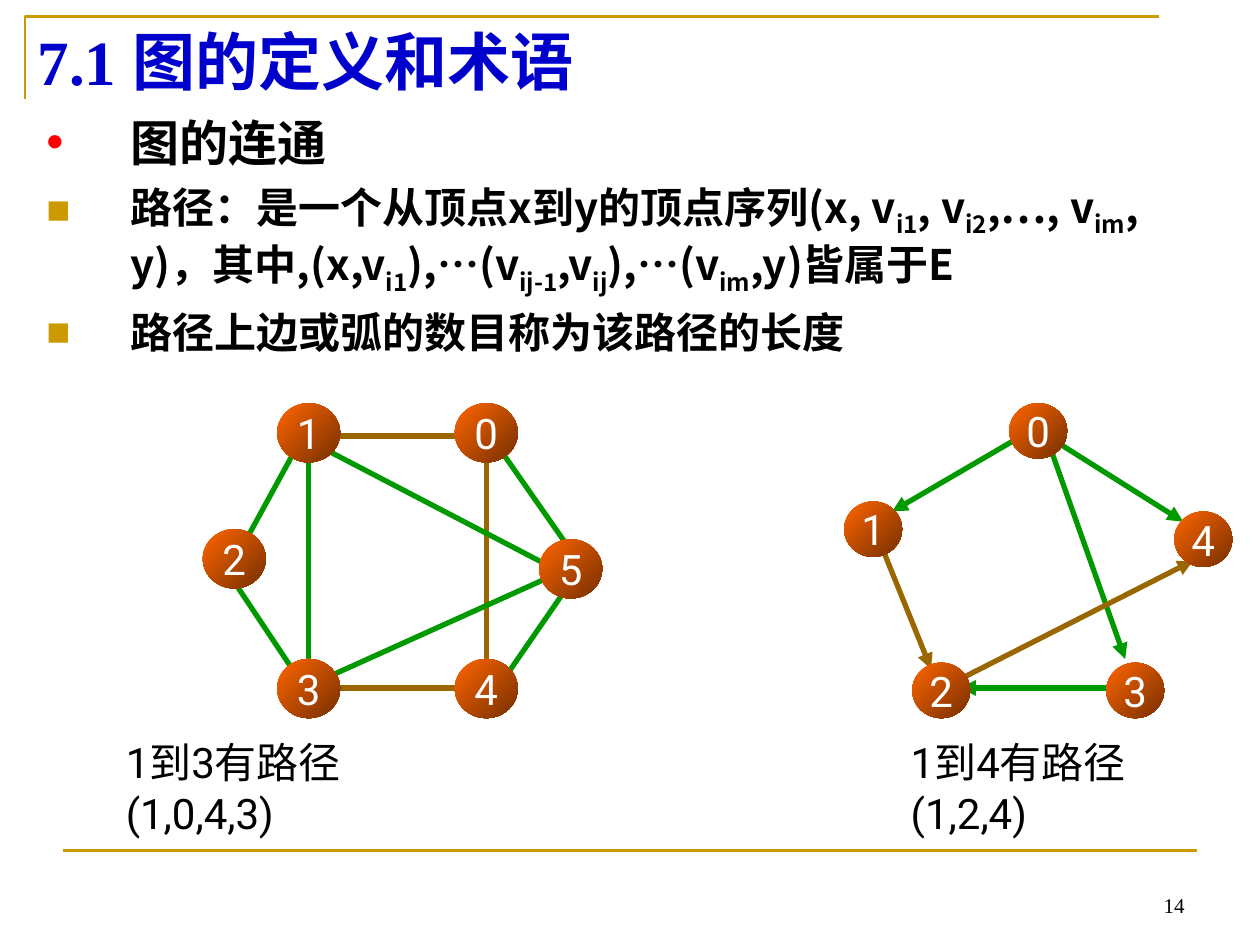
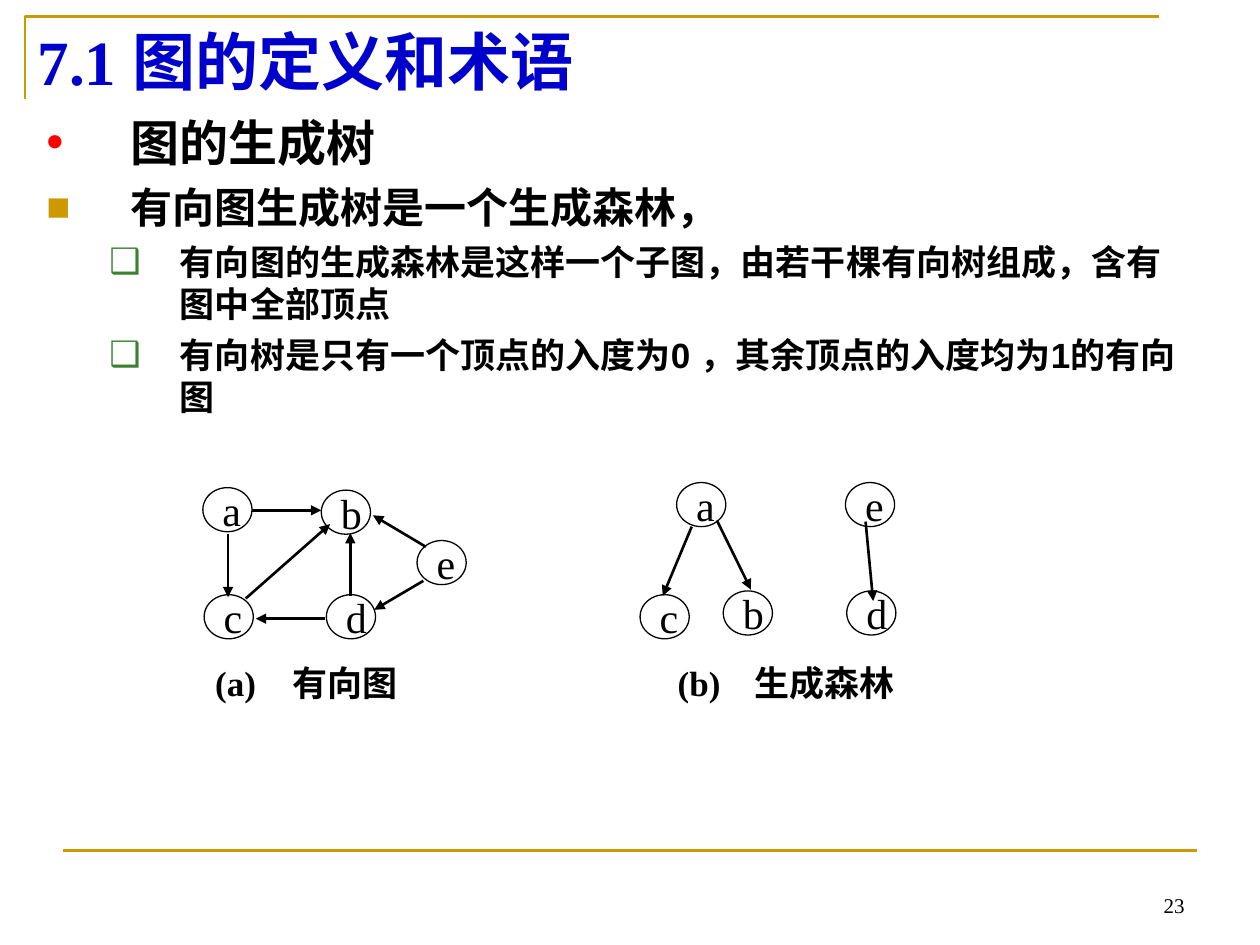
from dataclasses import dataclass

from lxml import etree
from pptx import Presentation
from pptx.dml.color import RGBColor
from pptx.enum.shapes import MSO_CONNECTOR, MSO_SHAPE
from pptx.enum.text import MSO_ANCHOR, PP_ALIGN
from pptx.oxml.ns import qn
from pptx.util import Inches, Pt

# The slide is a grid of 100 columns by 75 rows of square cells.
COLUMNS, ROWS = 100, 75
CELL = Inches(0.1)

GOLD = RGBColor(0xCC, 0x99, 0x00)
BLUE = RGBColor(0x00, 0x00, 0xCC)
RED = RGBColor(0xFF, 0x00, 0x00)
LEAF = RGBColor(0x3B, 0x81, 0x2F)
GREEN = RGBColor(0x00, 0x99, 0x00)
BROWN = RGBColor(0x99, 0x66, 0x00)
ORANGE = RGBColor(0xFF, 0x66, 0x00)
RUST = RGBColor(0x76, 0x2F, 0x00)
BLACK = RGBColor(0x00, 0x00, 0x00)
WHITE = RGBColor(0xFF, 0xFF, 0xFF)

SERIF, SANS, HEAVY, PLAIN = "Times New Roman", "Arial", "Noto Sans CJK SC", "Roboto"
TITLE = "7.1 图的定义和术语"
STRAIGHT, OVAL = MSO_CONNECTOR.STRAIGHT, MSO_SHAPE.OVAL
TOP, MIDDLE, BOTTOM = MSO_ANCHOR.TOP, MSO_ANCHOR.MIDDLE, MSO_ANCHOR.BOTTOM
LEFT, CENTER, RIGHT = PP_ALIGN.LEFT, PP_ALIGN.CENTER, PP_ALIGN.RIGHT


@dataclass(frozen=True)
class Style:
    font: str
    size: float
    color: RGBColor = BLACK
    bold: bool = False


@dataclass(frozen=True)
class Level:
    bullet: str
    color: RGBColor
    scale: int
    size: float
    space: float
    margin: float
    hang: float
    depth: int = 0


@dataclass(frozen=True)
class Point:
    level: Level
    text: str
    font: str = HEAVY


@dataclass(frozen=True)
class Node:
    label: str
    column: float
    row: float


@dataclass(frozen=True)
class Edge:
    start: tuple[float, float]
    end: tuple[float, float]
    color: RGBColor = GREEN


@dataclass(frozen=True)
class Graph:
    nodes: list[Node]
    edges: list[Edge]
    node_size: tuple[float, float]
    weight: float
    directed: bool = True
    shaded: bool = False


TOPIC = Level("•", RED, 100, 28, 7, 6.7, 6.7)
ITEM = Level("■", GOLD, 95, 24, 6, 6.7, 6.7)
DETAIL = Level("❑", LEAF, 100, 20, 5, 10.6, 5.6, 1)

CONNECTED_POINTS = [
    Point(TOPIC, "图的连通"),
    Point(ITEM, "路径：是一个从顶点x到y的顶点序列(x, v|i1|, v|i2|,…, v|im|, y)，其中"
                ",(x,v|i1|),…(v|ij-1|,v|ij|),…(v|im|,y)皆属于E"),
    Point(ITEM, "路径上边或弧的数目称为该路径的长度", SANS),
]
FOREST_POINTS = [
    Point(TOPIC, "图的生成树"),
    Point(ITEM, "有向图生成树是一个生成森林，"),
    Point(DETAIL, "有向图的生成森林是这样一个子图，由若干棵有向树组成，含有图中全部顶点", SANS),
    Point(DETAIL, "有向树是只有一个顶点的入度为0 ，其余顶点的入度均为1的有向图", SANS),
]

UNDIRECTED = Graph(
    nodes=[Node("1", 22, 32), Node("3", 22, 52.3), Node("2", 16.1, 42),
           Node("5", 42.8, 42.8), Node("4", 36.1, 52.3), Node("0", 36.1, 32)],
    edges=[Edge((37, 34.6), (27, 34.6), BROWN), Edge((38.6, 36.2), (38.6, 52.9), BROWN),
           Edge((39.5, 35.4), (45.3, 43.7)), Edge((23.6, 35.4), (19.5, 42.9)),
           Edge((24.5, 53.7), (24.5, 36.2)), Edge((44.5, 45.4), (25.3, 35.4)),
           Edge((23.6, 53.7), (18.6, 46.2)), Edge((37.8, 54.6), (25.3, 54.6), BROWN),
           Edge((44.5, 45.4), (26.1, 53.7)), Edge((45.3, 46.2), (39.5, 54.6))],
    node_size=(5, 4.7), weight=3, directed=False, shaded=True)
DIRECTED = Graph(
    nodes=[Node("1", 67, 39.8), Node("3", 87.8, 52.6), Node("2", 72.4, 52.6),
           Node("4", 93.2, 40.6), Node("0", 80.1, 32)],
    edges=[Edge((83.9, 35.1), (93.9, 41.4)), Edge((70.1, 43.7), (73.9, 53.1), BROWN),
           Edge((81.6, 34.3), (70.8, 40.6)), Edge((83.2, 35.1), (89.3, 52.3)),
           Edge((87.8, 54.6), (76.2, 54.6)), Edge((76.2, 53.9), (94.7, 44.5), BROWN)],
    node_size=(4.6, 4.4), weight=3, shaded=True)
DIGRAPH = Graph(
    nodes=[Node("a", 16.1, 38.7), Node("b", 25.5, 38.9), Node("c", 16.2, 47.2),
           Node("d", 25.9, 47.2), Node("e", 33.1, 42.9)],
    edges=[Edge((18.1, 42.4), (18.1, 47.4), BLACK), Edge((27.8, 47.3), (27.8, 42.3), BLACK),
           Edge((20, 40.5), (25.5, 40.5), BLACK), Edge((25.8, 49.1), (20.3, 49.1), BLACK),
           Edge((19.5, 47.5), (26.2, 41.6), BLACK), Edge((33.6, 46.1), (29.7, 48.4), BLACK),
           Edge((33.8, 43.4), (29.6, 40.9), BLACK)],
    node_size=(3.9, 3.5), weight=1.5)
FOREST = Graph(
    nodes=[Node("a", 53.7, 38.3), Node("c", 50.8, 47.2), Node("b", 57.4, 46.9),
           Node("e", 67.1, 38.3), Node("d", 67.2, 46.9)],
    edges=[Edge((54.9, 41.8), (52.6, 47.3), BLACK), Edge((56.9, 41.3), (59.6, 46.8), BLACK),
           Edge((68.7, 41.4), (69.3, 47.7), BLACK)],
    node_size=(3.9, 3.5), weight=1.5)


def cells(count: float) -> int:
    return round(count * CELL)


def style_span(span, style: Style) -> None:
    span.font.name = style.font
    span.font.size = Pt(style.size)
    span.font.bold = style.bold
    span.font.color.rgb = style.color
    east_asian = etree.SubElement(span.font._element, qn("a:ea"))
    east_asian.set("typeface", HEAVY)


def write(frame, text: str, style: Style, anchor=TOP, align=LEFT, wrap=True) -> None:
    """Fill a text frame with one uniformly styled paragraph."""
    frame.word_wrap = wrap
    frame.vertical_anchor = anchor
    frame.text = text
    para = frame.paragraphs[0]
    para.alignment = align
    for span in para.runs:
        style_span(span, style)


def add_box(page, column: float, row: float, width: float, height: float):
    return page.shapes.add_textbox(cells(column), cells(row), cells(width), cells(height)).text_frame


def add_line(page, edge: Edge, weight: float, arrow: bool = False) -> None:
    ends = [cells(value) for value in (*edge.start, *edge.end)]
    line = page.shapes.add_connector(STRAIGHT, *ends)
    line.line.color.rgb = edge.color
    line.line.width = Pt(weight)
    if arrow:
        etree.SubElement(line.line._get_or_add_ln(), qn("a:tailEnd")).set("type", "triangle")
    etree.SubElement(line._element.spPr, qn("a:effectLst"))


def add_bullet(para, level: Level) -> None:
    para.level = level.depth
    properties = para._p.get_or_add_pPr()
    properties.set("marL", str(cells(level.margin)))
    properties.set("indent", str(-cells(level.hang)))
    color = etree.SubElement(properties, qn("a:buClr"))
    etree.SubElement(color, qn("a:srgbClr")).set("val", str(level.color))
    etree.SubElement(properties, qn("a:buSzPct")).set("val", str(level.scale * 1000))
    etree.SubElement(properties, qn("a:buFont")).set("typeface", SANS)
    etree.SubElement(properties, qn("a:buChar")).set("char", level.bullet)


def add_points(page, points: list[Point], width: float, height: float) -> None:
    """Write the bulleted body; every second part between bars is a subscript."""
    frame = add_box(page, 2.7, 8.4, width, height)
    frame.word_wrap = True
    for index, point in enumerate(points):
        para = frame.add_paragraph() if index else frame.paragraphs[0]
        if index:
            para.space_before = Pt(point.level.space)
        add_bullet(para, point.level)
        for order, part in enumerate(point.text.split("|")):
            span = para.add_run()
            span.text = part
            style_span(span, Style(point.font, point.level.size, bold=True))
            if order % 2:
                span.font._element.set("baseline", "-25000")


def add_node(page, node: Node, graph: Graph) -> None:
    width, height = graph.node_size
    oval = page.shapes.add_shape(OVAL, cells(node.column), cells(node.row), cells(width), cells(height))
    oval.shadow.inherit = False
    if graph.shaded:
        oval.fill.gradient()
        oval.fill.gradient_angle = 315
        for stop, color, position in zip(oval.fill.gradient_stops, (ORANGE, RUST), (0, 1)):
            stop.color.rgb = color
            stop.position = position
        oval.line.fill.background()
        oval.text_frame.margin_left = oval.text_frame.margin_right = 0
        write(oval.text_frame, node.label, Style(PLAIN, 24, WHITE), MIDDLE, CENTER, wrap=False)
    else:
        oval.fill.background()
        oval.line.color.rgb = BLACK
        oval.line.width = Pt(0.75)
        write(oval.text_frame, node.label, Style(SERIF, 24), MIDDLE, wrap=False)


def add_graph(page, graph: Graph) -> None:
    """Draw the edges first, so that shaded nodes cover their ends."""
    for edge in graph.edges:
        add_line(page, edge, graph.weight, graph.directed)
    for node in graph.nodes:
        add_node(page, node, graph)


def add_path_note(page, column: float, text: str) -> None:
    write(add_box(page, column, 58, 20, 9), text, Style(PLAIN, 24))


def add_caption(page, column: float, text: str) -> None:
    """Write a one-line caption with a tab stop between its letter and its words."""
    frame = add_box(page, column, 52.4, 22, 3.5)
    write(frame, text, Style(SERIF, 20, bold=True), MIDDLE)
    tabs = etree.SubElement(frame.paragraphs[0]._p.get_or_add_pPr(), qn("a:tabLst"))
    stop = etree.SubElement(tabs, qn("a:tab"))
    stop.set("pos", str(cells(6.1)))
    stop.set("algn", "l")


def add_page(deck, number: int):
    """Add a slide with the corner frame, footer rule, page number and title."""
    page = deck.slides.add_slide(deck.slide_layouts[6])
    builder = page.shapes.build_freeform(cells(2), cells(7.9))
    builder.add_line_segments([(cells(2), cells(1.3)), (cells(92), cells(1.3))], close=False)
    corner = builder.convert_to_shape()
    corner.shadow.inherit = False
    corner.fill.background()
    corner.line.color.rgb = GOLD
    corner.line.width = Pt(1.5)
    add_line(page, Edge((5, 67.5), (COLUMNS - 5, 67.5), GOLD), 1.5)
    write(add_box(page, 71.7, 68.3, 23.3, 5), str(number), Style(SERIF, 12), BOTTOM, RIGHT)
    write(add_box(page, 2, 1.3, 90, 7.1), TITLE, Style(SERIF, 36, BLUE, True))
    return page


def main() -> None:
    deck = Presentation()
    deck.slide_width, deck.slide_height = cells(COLUMNS), cells(ROWS)

    page = add_page(deck, 14)
    add_points(page, CONNECTED_POINTS, 94.5, 32.3)
    add_graph(page, UNDIRECTED)
    add_path_note(page, 9, "1到3有路径(1,0,4,3)")
    add_graph(page, DIRECTED)
    add_path_note(page, 71.3, "1到4有路径(1,2,4)")

    page = add_page(deck, 23)
    add_points(page, FOREST_POINTS, 92.9, 52.8)
    add_graph(page, DIGRAPH)
    add_caption(page, 16.1, "(a)\t有向图")
    add_caption(page, 52.8, "(b)\t生成森林")
    add_graph(page, FOREST)

    deck.save("out.pptx")


if __name__ == "__main__":
    main()
